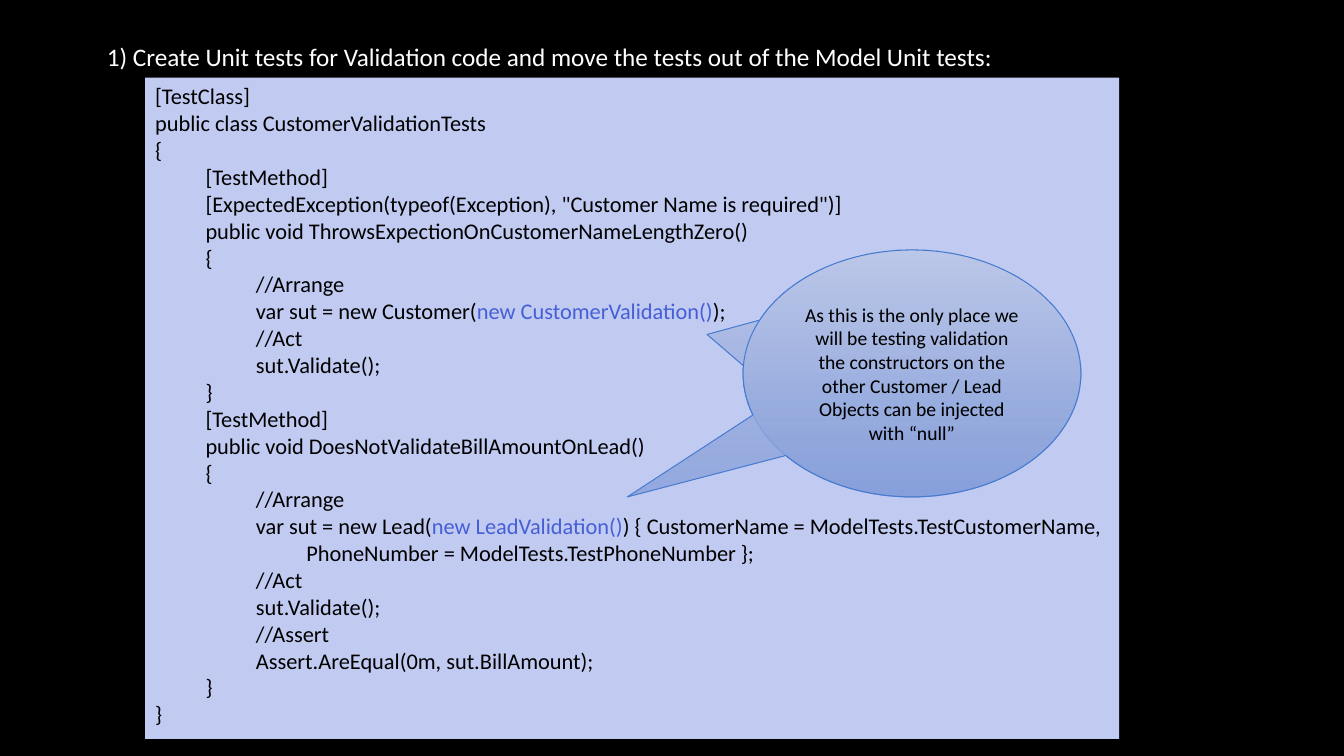
from lxml.etree import SubElement as Sub
from pptx import Presentation
from pptx.dml.color import RGBColor as Rgb
from pptx.enum.shapes import MSO_SHAPE as Kind
from pptx.enum.text import MSO_ANCHOR as Anchor, MSO_AUTO_SIZE as Auto, PP_ALIGN as Align
from pptx.oxml.ns import qn
from pptx.util import Inches, Pt

HUES = {"back": "000000", "ink": "000000", "head": "FFFFFF", "panel": "C1CAF1",
        "hot": "455FD6", "top": "BCC8E9", "base": "859EDA", "edge": "477BD1"}
HEAD = "1) Create Unit tests for Validation code and move the tests out of the Model Unit tests:"
NOTE = ("As this is the only place we will be testing validation the constructors on the "
        "other Customer / Lead Objects can be injected with “null”")
HOT = ("new CustomerValidation()", "new LeadValidation()")
CODE = """[TestClass]
public class CustomerValidationTests
{
    [TestMethod]
    [ExpectedException(typeof(Exception), "Customer Name is required")]
    public void ThrowsExpectionOnCustomerNameLengthZero()
    {
        //Arrange
        var sut = new Customer(new CustomerValidation());
        //Act
        sut.Validate();
    }
    [TestMethod]
    public void DoesNotValidateBillAmountOnLead()
    {
        //Arrange
        var sut = new Lead(new LeadValidation()) { CustomerName = ModelTests.TestCustomerName,
            PhoneNumber = ModelTests.TestPhoneNumber };
        //Act
        sut.Validate();
        //Assert
        Assert.AreEqual(0m, sut.BillAmount);
    }
}"""


def hue(key):
    return Rgb.from_string(HUES[key])


def write(para, text, size, key):
    run = para.add_run()
    run.text = text
    for name, value in {"name": "Calibri", "size": Pt(size), "bold": False}.items():
        setattr(run.font, name, value)
    run.font.color.rgb = hue(key)


deck = Presentation()
deck.slide_width, deck.slide_height = Inches(13.33), Inches(7.5)
slide = deck.slides.add_slide(deck.slide_layouts[5])
slide.background.fill.solid()
slide.background.fill.fore_color.rgb = hue("back")

head = slide.shapes.title
place = {"left": 0.96, "top": 0.36, "width": 9.09, "height": 0.4}
for name, value in place.items():
    setattr(head, name, Inches(value))
frame = head.text_frame
form = {"word_wrap": False, "auto_size": Auto.SHAPE_TO_FIT_TEXT, "vertical_anchor": Anchor.TOP}
for name, value in form.items():
    setattr(frame, name, value)
frame.paragraphs[0].alignment = Align.LEFT
write(frame.paragraphs[0], HEAD, 18, "head")

panel = slide.shapes.add_shape(Kind.RECTANGLE, Inches(1.44), Inches(0.77), Inches(9.66), Inches(6.56))
panel.shadow.inherit = False
panel.fill.solid()
panel.fill.fore_color.rgb = hue("panel")
panel.line.fill.background()
frame = panel.text_frame
form = {"word_wrap": True, "auto_size": Auto.SHAPE_TO_FIT_TEXT, "vertical_anchor": Anchor.TOP}
for name, value in form.items():
    setattr(frame, name, value)
for row, line in enumerate(CODE.splitlines()):
    para = frame.add_paragraph() if row else frame.paragraphs[0]
    para.alignment = Align.LEFT
    tabs = Sub(para._p.get_or_add_pPr(), qn("a:tabLst"))
    for step in (1, 2, 3):
        Sub(tabs, qn("a:tab"), pos=str(Inches(step / 2)), algn="l")
    text = line.lstrip()
    depth = (len(line) - len(text)) // 4
    hot = next((part for part in HOT if part in text), None)
    start, mid, end = text.partition(hot) if hot else (text, "", "")
    for part, key in (("\t" * depth + start, "ink"), (mid, "hot"), (end, "ink")):
        if part:
            write(para, part, 16, key)

for tip in ((-0.607, -0.158), (-0.843, 0.5)):
    note = slide.shapes.add_shape(Kind.OVAL_CALLOUT, Inches(7.37), Inches(2.48), Inches(3.35), Inches(2.45))
    note.shadow.inherit = False
    for axis, value in enumerate(tip):
        note.adjustments[axis] = value
    note.fill.gradient()
    note.fill.gradient_angle = 270
    for stop, key in zip(note.fill.gradient_stops, ("top", "base")):
        stop.color.rgb = hue(key)
    base = note.element.spPr.findall(".//" + qn("a:srgbClr"))[-1]
    Sub(base, qn("a:alpha"), val="74000")
    note.line.color.rgb = hue("edge")
    note.line.width = Pt(0.75)
    frame = note.text_frame
    for name, value in {"word_wrap": True, "vertical_anchor": Anchor.MIDDLE}.items():
        setattr(frame, name, value)
    frame.paragraphs[0].alignment = Align.CENTER
    write(frame.paragraphs[0], NOTE, 14, "ink")

deck.save("out.pptx")
